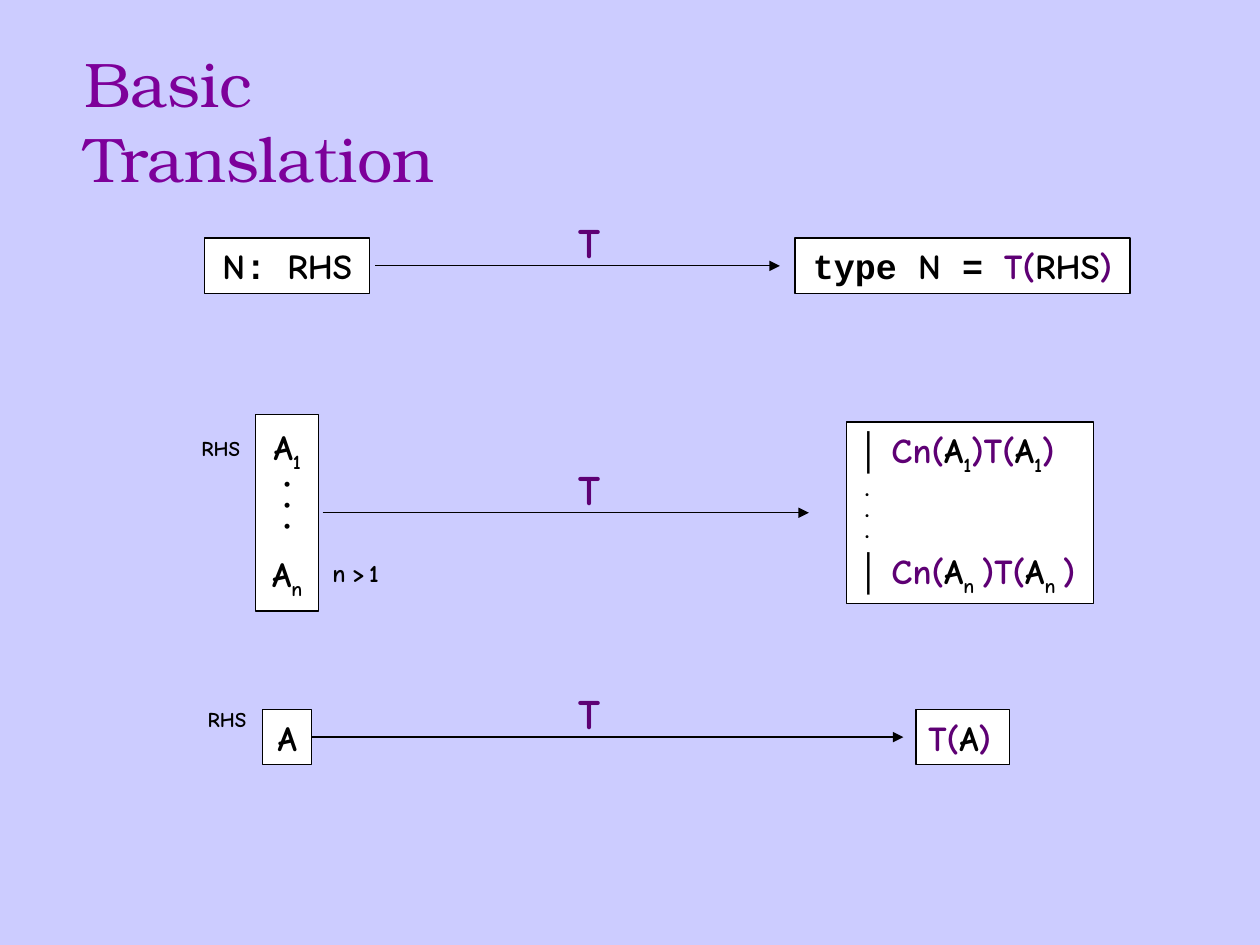
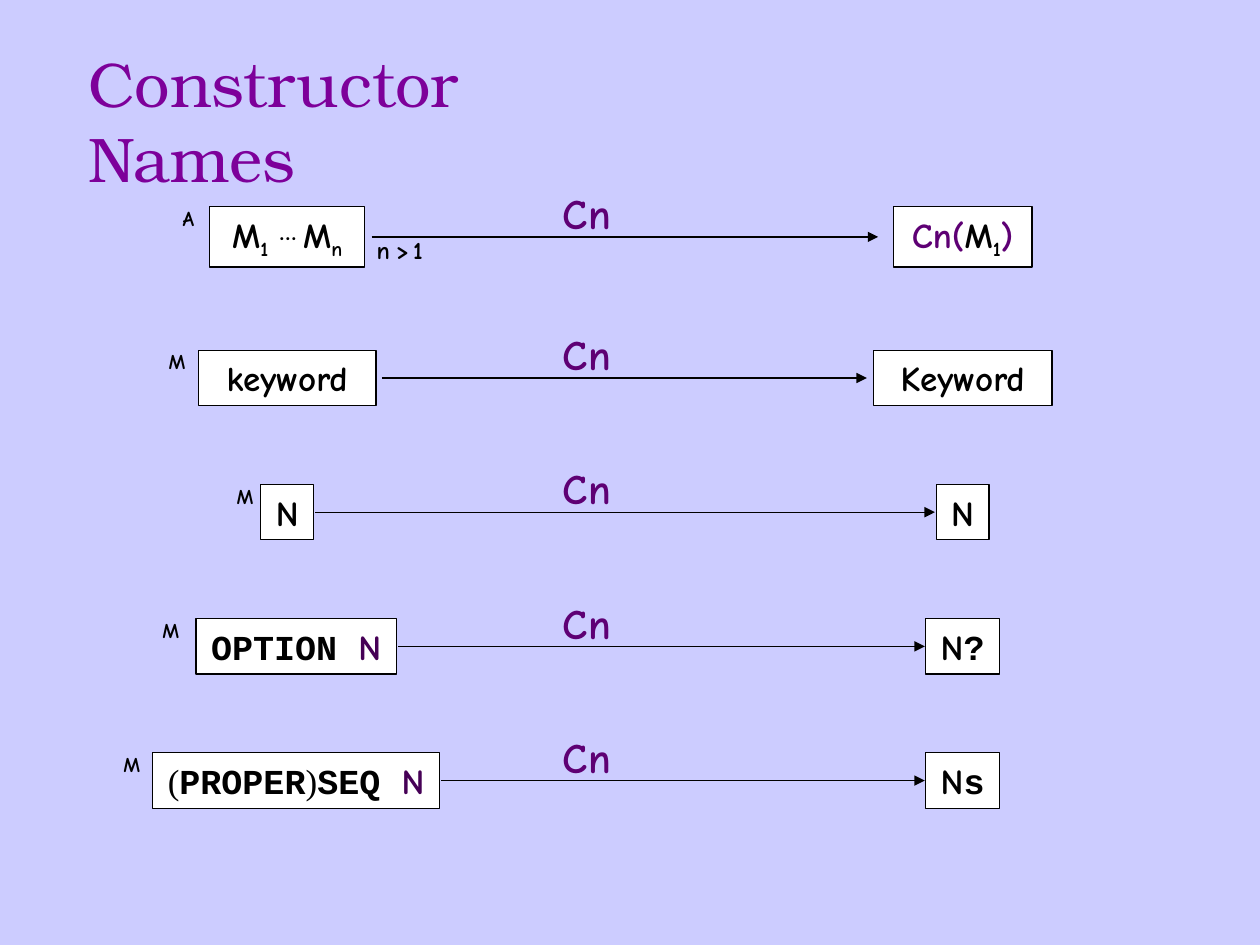
from collections import namedtuple
from dataclasses import dataclass

from lxml import etree
from pptx import Presentation
from pptx.dml.color import RGBColor as Rgb
from pptx.enum.shapes import MSO_CONNECTOR as Connector, MSO_SHAPE as Shape
from pptx.enum.text import MSO_ANCHOR as Anchor, MSO_AUTO_SIZE as AutoSize, PP_ALIGN as Align
from pptx.oxml.ns import qn
from pptx.util import Inches, Pt


# Theme: colours, fonts and type sizes
@dataclass(frozen=True)
class Theme:
    paper: str = "CCCCFF"
    box: str = "FFFFFF"
    ink: str = "000000"
    title: str = "7D009A"
    mapping: str = "5E0074"
    nonterminal: str = "460056"
    serif: str = "TeX Gyre Bonum"
    hand: str = "Comic Neue"
    mono: str = "Courier New"
    sans: str = "Arial"
    roman: str = "Times New Roman"
    title_size: int = 36
    arrow_size: int = 24
    text_size: int = 20
    condition_size: int = 14
    tag_size: int = 12
    dot_size: int = 10
    gap_size: int = 6
    line_width: float = 0.75


theme = Theme()
Style = namedtuple("Style", "font size color bold baseline", defaults=(theme.ink, True, 0))
Line = namedtuple("Line", "spans before indent", defaults=(0, 0))
Rule = namedtuple("Rule", "y tag source source_size target target_size arrow source_x target_x align",
                  defaults=(2.28, 7.64, Align.CENTER))

styles = {
    "title": Style(theme.serif, theme.title_size, theme.title, False),
    "name": Style(theme.hand, theme.text_size),
    "sub": Style(theme.hand, theme.text_size, baseline=-25),
    "map": Style(theme.hand, theme.text_size, theme.mapping),
    "nonterminal": Style(theme.hand, theme.text_size, theme.nonterminal),
    "code": Style(theme.mono, theme.text_size),
    "paren": Style(theme.roman, theme.text_size, bold=False),
    "bar": Style(theme.sans, theme.text_size),
    "space": Style(theme.mono, theme.dot_size),
    "dot": Style(theme.sans, theme.dot_size),
    "raised": Style(theme.sans, theme.dot_size, baseline=30),
    "dots": Style(theme.mono, theme.dot_size, baseline=30),
    "arrow": Style(theme.hand, theme.arrow_size, theme.mapping),
    "tag": Style(theme.hand, theme.tag_size),
    "condition": Style(theme.hand, theme.condition_size),
    "wide gap": Style(theme.hand, theme.dot_size),
    "thin gap": Style(theme.hand, theme.gap_size),
}


def write(shape, lines, align=Align.LEFT, anchor=Anchor.TOP, wrap=False):
    frame = shape.text_frame
    frame.word_wrap = wrap
    frame.auto_size = AutoSize.SHAPE_TO_FIT_TEXT
    frame.vertical_anchor = anchor
    for number, line in enumerate(lines):
        para = frame.add_paragraph() if number else frame.paragraphs[0]
        para.alignment = align
        if line.before:
            para.space_before = Pt(line.before)
        if line.indent:
            para._p.get_or_add_pPr().set("marL", str(Inches(line.indent)))
        for text, style_name in line.spans:
            style = styles[style_name]
            span = para.add_run()
            span.text = text
            span.font.name = style.font
            span.font.size = Pt(style.size)
            span.font.bold = style.bold
            span.font.color.rgb = Rgb.from_string(style.color)
            if style.baseline:
                span._r.get_or_add_rPr().set("baseline", str(style.baseline * 1000))


def add_label(page, left, top, width, height, spans):
    label = page.shapes.add_textbox(Inches(left), Inches(top), Inches(width), Inches(height))
    write(label, [Line(spans)])


# Slide 1: translating right-hand sides
alternatives = [
    Line([("A", "name"), ("1", "sub")]),
    *[Line([("•", "dot")])] * 3,
    Line([("A", "name"), ("n", "sub")], before=9),
]
first_case, last_case = [
    [("│", "bar"), (" ", "space"), ("Cn(", "map"), ("A", "name"), (index, "sub"),
     (")T(", "map"), ("A", "name"), (index, "sub"), (")", "map")]
    for index in ("1", "n ")
]
cases = [
    Line(first_case),
    Line([("•", "raised")], before=6, indent=0.05),
    *[Line([("•", "raised")], indent=0.05)] * 2,
    Line(last_case),
]
row_height = 0.44
translation_rules = [
    Rule(2.11, None,
         [Line([("N", "name"), (": ", "code"), ("RHS", "name")])], (1.31, row_height),
         [Line([("type ", "code"), ("N", "name"), (" = ", "code"),
                ("T(", "map"), ("RHS", "name"), (")", "map")])], (2.66, row_height),
         (2.98, 6.19)),
    Rule(4.07, ("RHS", 1.5, 0.53, 0.66), alternatives, (0.5, 1.56), cases, (1.96, 1.44),
         (2.56, 6.42), target_x=7.7, align=Align.LEFT),
    Rule(5.85, ("RHS", 1.55, 0.53, 0.29),
         [Line([("A", "name")])], (0.39, row_height),
         [Line([("T(", "map"), ("A", "name"), (")", "map")])], (0.74, row_height),
         (2.48, 7.17), align=Align.LEFT),
]

# Slide 2: naming constructors, on evenly spaced rows
member_rows = [3 + 1.065 * row for row in range(4)]
member_tags = [("M", left, 0.35, 0.28) for left in (1.24, 1.78, 1.19, 0.88)]
constructor_rules = [
    Rule(1.88, ("A", 1.35, 0.31, 0.3),
         [Line([("M", "name"), ("1", "sub"), (" ", "space"), ("••• ", "dots"),
                ("M", "name"), ("n", "sub")])], (1.23, 0.48),
         [Line([("Cn(", "map"), ("M", "name"), ("1", "sub"), (")", "map")])], (1.1, 0.48),
         (2.95, 6.97)),
    Rule(member_rows[0], member_tags[0],
         [Line([("keyword", "name")])], (1.41, row_height),
         [Line([("Keyword", "name")])], (1.42, row_height), (3.03, 6.88)),
    Rule(member_rows[1], member_tags[1],
         [Line([("N", "name")])], (0.42, row_height),
         [Line([("N", "name")])], (0.42, row_height), (2.5, 7.42)),
    Rule(member_rows[2], member_tags[2],
         [Line([("OPTION ", "code"), ("N", "nonterminal")])], (1.59, row_height),
         [Line([("N", "name"), ("?", "code")])], (0.59, row_height), (3.16, 7.34), source_x=2.35),
    Rule(member_rows[3], member_tags[3],
         [Line([("(", "paren"), ("PROPER", "code"), (")", "paren"),
                ("SEQ ", "code"), ("N", "nonterminal")])], (2.28, row_height),
         [Line([("N", "name"), ("s", "code")])], (0.59, row_height), (3.5, 7.34), source_x=2.35),
]

# Title, title left and width, mapping name with its place, condition place, rules
pages = [
    ("Basic Translation", 0.57, 4.32, ("T", 4.49, 0.39), (2.54, 4.38), translation_rules),
    ("Constructor Names", 0.6, 4.77, ("Cn", 4.37, 0.63), (2.89, 1.82), constructor_rules),
]

# Deck and shared background
deck = Presentation()
deck.slide_width, deck.slide_height = Inches(10), Inches(7.5)
background = deck.slide_master.background.fill
background.solid()
background.fore_color.rgb = Rgb.from_string(theme.paper)

for title, title_left, title_width, mapping, condition, rules in pages:
    page = deck.slides.add_slide(deck.slide_layouts[5])

    # Title
    heading = page.shapes.title
    heading.left, heading.top = Inches(title_left), Inches(0.3)
    heading.width, heading.height = Inches(title_width), Inches(0.7)
    write(heading, [Line([(title, "title")])], wrap=True)

    for rule in rules:
        # Source and target boxes, centred on the row
        for lines, center, (width, height), align in (
            (rule.source, rule.source_x, rule.source_size, Align.CENTER),
            (rule.target, rule.target_x, rule.target_size, rule.align),
        ):
            box = page.shapes.add_shape(
                Shape.RECTANGLE, Inches(center - width / 2), Inches(rule.y - height / 2),
                Inches(width), Inches(height))
            box.shadow.inherit = False
            box.fill.solid()
            box.fill.fore_color.rgb = Rgb.from_string(theme.box)
            box.line.color.rgb = Rgb.from_string(theme.ink)
            box.line.width = Pt(theme.line_width)
            write(box, lines, align, Anchor.MIDDLE)

        # Arrow with the name of the mapping above it
        start, end = rule.arrow
        arrow = page.shapes.add_connector(
            Connector.STRAIGHT, Inches(start), Inches(rule.y), Inches(end), Inches(rule.y))
        arrow.line.color.rgb = Rgb.from_string(theme.ink)
        arrow.line.width = Pt(theme.line_width)
        etree.SubElement(arrow.line._get_or_add_ln(), qn("a:tailEnd"), type="triangle")
        etree.SubElement(arrow._element.spPr, qn("a:effectLst"))
        mapping_name, mapping_left, mapping_width = mapping
        add_label(page, mapping_left, rule.y - 0.44, mapping_width, 0.5, [(mapping_name, "arrow")])

        # Kind of grammar part, beside the source box
        if rule.tag:
            kind, left, width, rise = rule.tag
            add_label(page, left, rule.y - rise, width, 0.3, [(kind, "tag")])

    # Condition on the number of parts
    add_label(page, *condition, 0.61, 0.34,
              [("n", "condition"), (" ", "wide gap"), (">", "condition"),
               (" ", "thin gap"), ("1", "condition")])

deck.save("out.pptx")
